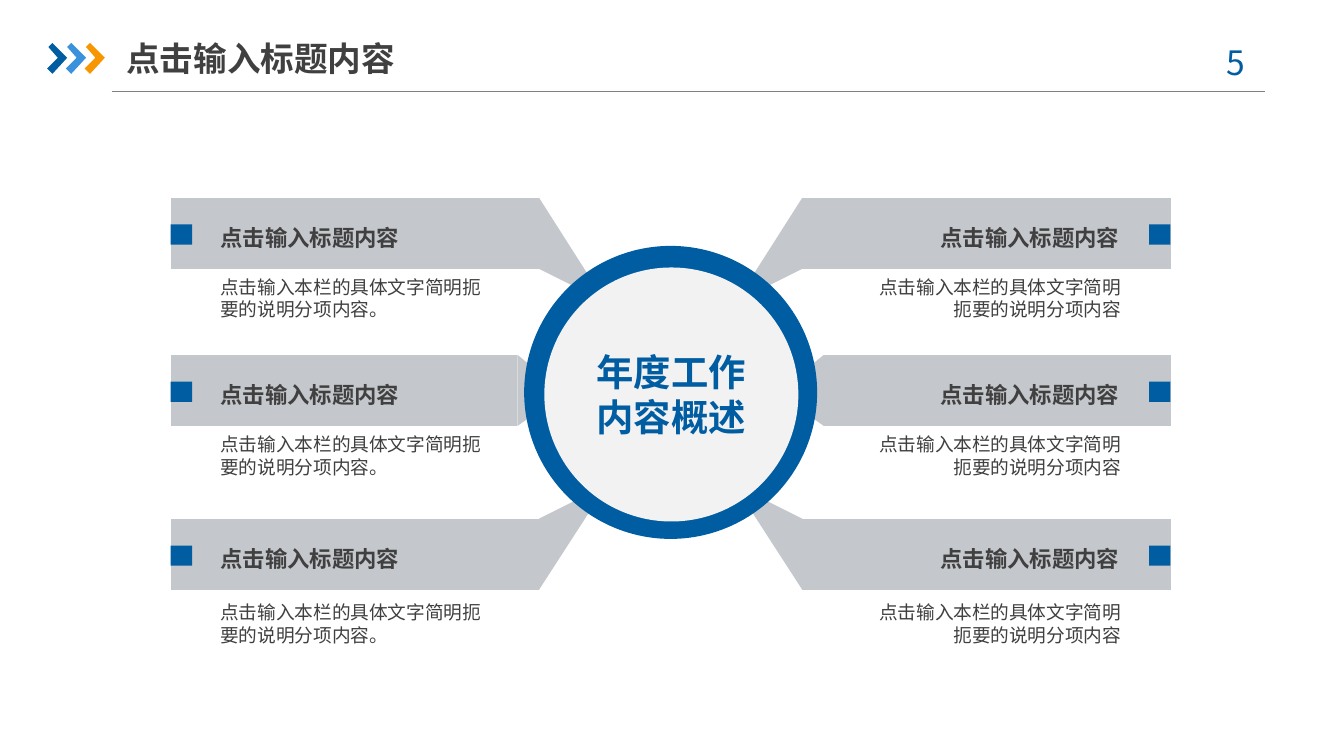
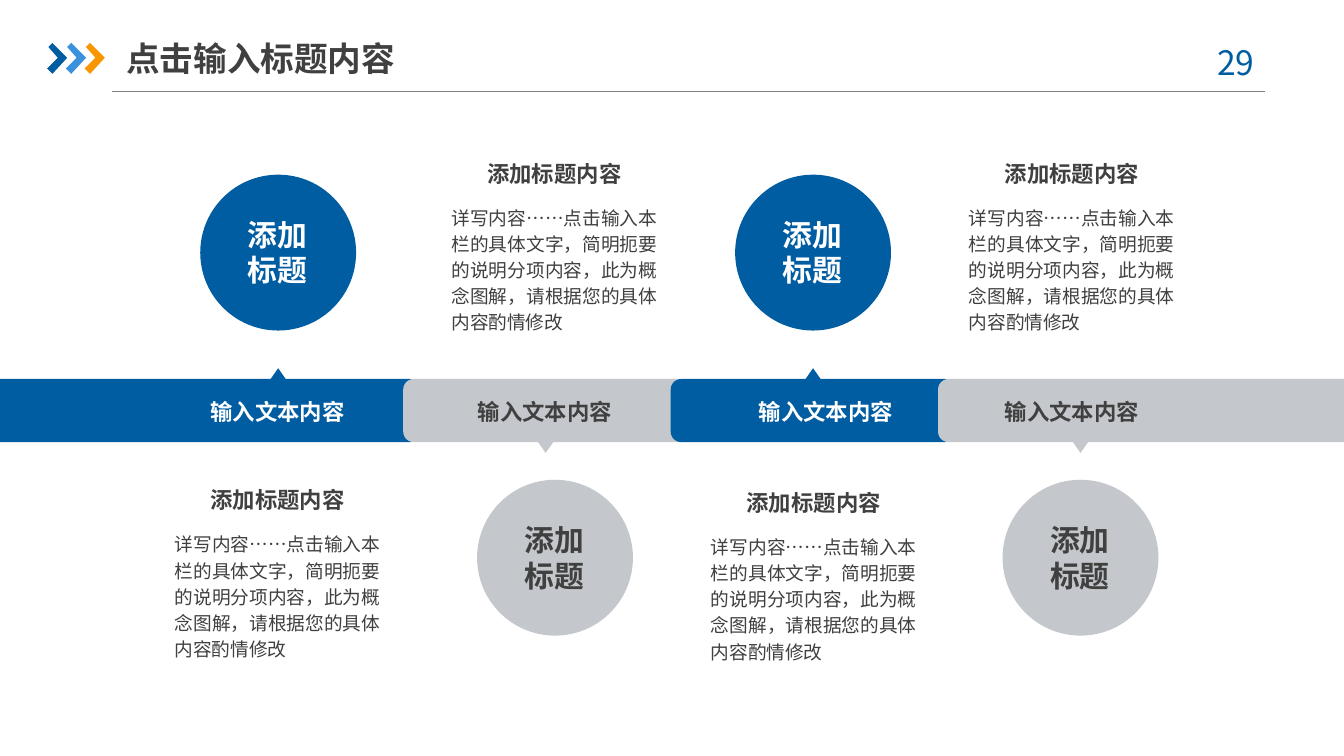
from dataclasses import dataclass

from lxml.etree import SubElement
from pptx import Presentation
from pptx.dml.color import RGBColor
from pptx.enum.shapes import MSO_CONNECTOR, MSO_SHAPE
from pptx.enum.text import MSO_ANCHOR, MSO_AUTO_SIZE, PP_ALIGN
from pptx.oxml.ns import qn
from pptx.shapes.autoshape import Shape
from pptx.slide import Slide
from pptx.text.text import TextFrame
from pptx.util import Inches, Pt

FONT = "Noto Sans CJK SC"
BLUE = RGBColor(0x00, 0x5D, 0xA2)
SKY = RGBColor(0x39, 0x92, 0xDB)
ORANGE = RGBColor(0xF7, 0x96, 0x00)
SILVER = RGBColor(0xC4, 0xC7, 0xCB)
PALE = RGBColor(0xF2, 0xF2, 0xF2)
RULE = RGBColor(0x80, 0x80, 0x80)
DARK = RGBColor(0x40, 0x40, 0x40)
WHITE = RGBColor(0xFF, 0xFF, 0xFF)

Point = tuple[float, float]
SIDE_INSETS = (0, 0.05, 0, 0.05)
NO_INSETS = (0, 0, 0, 0)

# Widescreen, 16:9
prs = Presentation()
prs.slide_width, prs.slide_height = Inches(10), Inches(10 * 9 / 16)


# Drawing helpers, all lengths in inches
def write(tf: TextFrame, text: str, *, size: float, color: RGBColor = DARK,
          bold: bool = False, align: PP_ALIGN = PP_ALIGN.LEFT,
          anchor: MSO_ANCHOR = MSO_ANCHOR.TOP,
          insets: tuple[float, ...] = (0.1, 0.05, 0.1, 0.05),
          leading: float | None = None) -> None:
    """Fill a text frame; each line of the text becomes a paragraph."""
    tf.word_wrap = True
    tf.auto_size = MSO_AUTO_SIZE.NONE
    tf.vertical_anchor = anchor
    tf.margin_left, tf.margin_top, tf.margin_right, tf.margin_bottom = map(Inches, insets)
    for i, line in enumerate(text.split("\n")):
        p = tf.paragraphs[0] if i == 0 else tf.add_paragraph()
        p.alignment = align
        if leading:
            p.line_spacing = Pt(leading)
        r = p.add_run()
        r.text = line
        r.font.size, r.font.bold = Pt(size), bold
        r.font.color.rgb = color
        r.font.name = FONT
        SubElement(r._r.get_or_add_rPr(), qn("a:ea"), typeface=FONT)


def text_box(s: Slide, x: float, y: float, w: float, h: float, text: str, **fmt) -> None:
    box = s.shapes.add_textbox(Inches(x), Inches(y), Inches(w), Inches(h))
    write(box.text_frame, text, **fmt)


def paint(sp: Shape, color: RGBColor) -> Shape:
    sp.shadow.inherit = False
    sp.fill.solid()
    sp.fill.fore_color.rgb = color
    sp.line.fill.background()
    return sp


def shape(s: Slide, kind: MSO_SHAPE, x: float, y: float, w: float, h: float,
          color: RGBColor) -> Shape:
    return paint(s.shapes.add_shape(kind, Inches(x), Inches(y), Inches(w), Inches(h)), color)


def polygon(s: Slide, points: list[Point], color: RGBColor) -> Shape:
    start, *rest = [(Inches(x), Inches(y)) for x, y in points]
    builder = s.shapes.build_freeform(*start)
    builder.add_line_segments(rest, close=True)
    return paint(builder.convert_to_shape(), color)


# Header shared by the slides
CHEVRON = [(0.01, 0.03), (0.04, 0), (0.15, 0.11), (0.04, 0.23), (0, 0.19), (0.08, 0.11)]


def add_slide(title: str, number: int) -> Slide:
    s = prs.slides.add_slide(prs.slide_layouts[5])
    rule = s.shapes.add_connector(MSO_CONNECTOR.STRAIGHT, Inches(0.83), Inches(0.68),
                                  Inches(9.41), Inches(0.68))
    rule.line.color.rgb, rule.line.width = RULE, Pt(0.75)
    SubElement(rule._element.spPr, qn("a:effectLst"))
    for i, color in enumerate((BLUE, SKY, ORANGE)):
        polygon(s, [(0.35 + 0.14 * i + x, 0.32 + y) for x, y in CHEVRON], color)
    text_box(s, 8.86, 0.26, 0.73, 0.4, f"{number} ", size=18, color=BLUE,
             align=PP_ALIGN.CENTER)
    sp = s.shapes.title
    sp.left, sp.top, sp.width, sp.height = map(Inches, (0.94, 0.22, 2.33, 0.42))
    write(sp.text_frame, title, size=18, bold=True, anchor=MSO_ANCHOR.MIDDLE,
          insets=SIDE_INSETS)
    return s


TITLE = "点击输入标题内容"


# Slide 1: six arms around a ring
@dataclass(frozen=True)
class Row:
    top: float
    inner: float                # where the left bar meets its tip
    tip: tuple[Point, Point]    # end of the left tip, y measured from top
    body: float


AXIS, BAR_LEFT, BAR_H = 4.99, 1.27, 0.53
ROWS = [
    Row(1.47, 4.01, ((4.43, 0.66), (4.37, 0.71)), 2.15),
    Row(2.64, 3.85, ((4.13, 0.23), (4.13, 0.33)), 3.32),
    Row(3.86, 4.01, ((4.37, -0.18), (4.43, -0.12)), 4.57),
]
SUMMARY = "点击输入本栏的具体文字简明扼要的说明分项内容"


def arm(s: Slide, row: Row, mirrored: bool) -> None:
    """Bar and tip, flipped about the axis on the right side."""
    top, bottom = row.top, row.top + BAR_H
    bar = [(BAR_LEFT, top), (BAR_LEFT, bottom), (row.inner, bottom), (row.inner, top)]
    tip = [(row.inner, top), *((x, top + y) for x, y in row.tip), (row.inner, bottom)]
    for outline in (bar, tip):
        points = [(2 * AXIS - x if mirrored else x, y) for x, y in outline]
        polygon(s, points, SILVER)


s = add_slide(TITLE, 5)
for row in ROWS:
    for mirrored in (False, True):
        arm(s, row, mirrored)
        shape(s, MSO_SHAPE.RECTANGLE, 8.55 if mirrored else BAR_LEFT, row.top + 0.2,
              0.16, 0.15, BLUE)
        align = PP_ALIGN.RIGHT if mirrored else PP_ALIGN.LEFT
        text_box(s, 6.19 if mirrored else 1.64, row.top + 0.15, 2.14, 0.31, TITLE,
                 size=12, bold=True, align=align, insets=SIDE_INSETS)
        x, w, text = (6.5, 1.84, SUMMARY) if mirrored else (1.64, 1.94, SUMMARY + "。")
        text_box(s, x, row.body, w, 0.14, text, size=10, align=align,
                 anchor=MSO_ANCHOR.MIDDLE, insets=SIDE_INSETS)

# Ring and its centre
shape(s, MSO_SHAPE.OVAL, 3.9, 1.83, 2.18, 2.18, BLUE)
disc = shape(s, MSO_SHAPE.OVAL, 4.05, 1.99, 1.89, 1.89, PALE)
write(disc.text_frame, "年度工作\n内容概述", size=20, color=BLUE, bold=True,
      align=PP_ALIGN.CENTER, anchor=MSO_ANCHOR.MIDDLE)


# Slide 2: four stages on a band, alternately above and below
@dataclass(frozen=True)
class Stage:
    band: float
    band_w: float
    circle: float
    label: float
    body: float
    heading_y: float


STEP = 1.99
STAGES = [
    Stage(-0.12, 3.25, 1.49, 1.41, 1.30, 3.62),
    Stage(3.00, 2.12, 3.55, 3.40, 3.36, 1.19),
    Stage(4.99, 2.12, 5.47, 5.49, 5.29, 3.64),
    Stage(6.98, 3.14, 7.46, 7.32, 7.21, 1.19),
]
DETAIL = ("详写内容……点击输入本栏的具体文字，简明扼要的说明分项内容，"
          "此为概念图解，请根据您的具体内容酌情修改")


def draw_stage(s: Slide, i: int, stage: Stage) -> None:
    above = i % 2 == 0
    fill, ink = (BLUE, WHITE) if above else (SILVER, DARK)
    centred = dict(bold=True, align=PP_ALIGN.CENTER, insets=NO_INSETS)
    # Band segment and pointer
    shape(s, MSO_SHAPE.ROUNDED_RECTANGLE, stage.band, 2.82, stage.band_w, 0.47, fill)
    pointer = shape(s, MSO_SHAPE.ISOSCELES_TRIANGLE, 2 + STEP * i,
                    2.74 if above else 3.27, 0.14, 0.1, fill)
    pointer.rotation = 0 if above else 180
    text_box(s, stage.label, 2.96, 1.31, 0.2, "输入文本内容", size=12, color=ink, **centred)
    # Circle
    y = 1.3 if above else 3.57
    shape(s, MSO_SHAPE.OVAL, stage.circle, y, 1.16, 1.16, fill)
    text_box(s, stage.circle + 0.27, y + 0.31, 0.61, 0.54, "添加标题", size=16,
             color=ink, **centred)
    # Description on the other side of the band
    text_box(s, stage.body + 0.11, stage.heading_y, 1.31, 0.2, "添加标题内容", size=12,
             **centred)
    text_box(s, stage.body, stage.heading_y + 0.32, 1.53, 0.98, DETAIL, size=10,
             align=PP_ALIGN.JUSTIFY, insets=NO_INSETS, leading=14)


s = add_slide(TITLE, 29)
for i, stage in enumerate(STAGES):
    draw_stage(s, i, stage)

prs.save("out.pptx")
